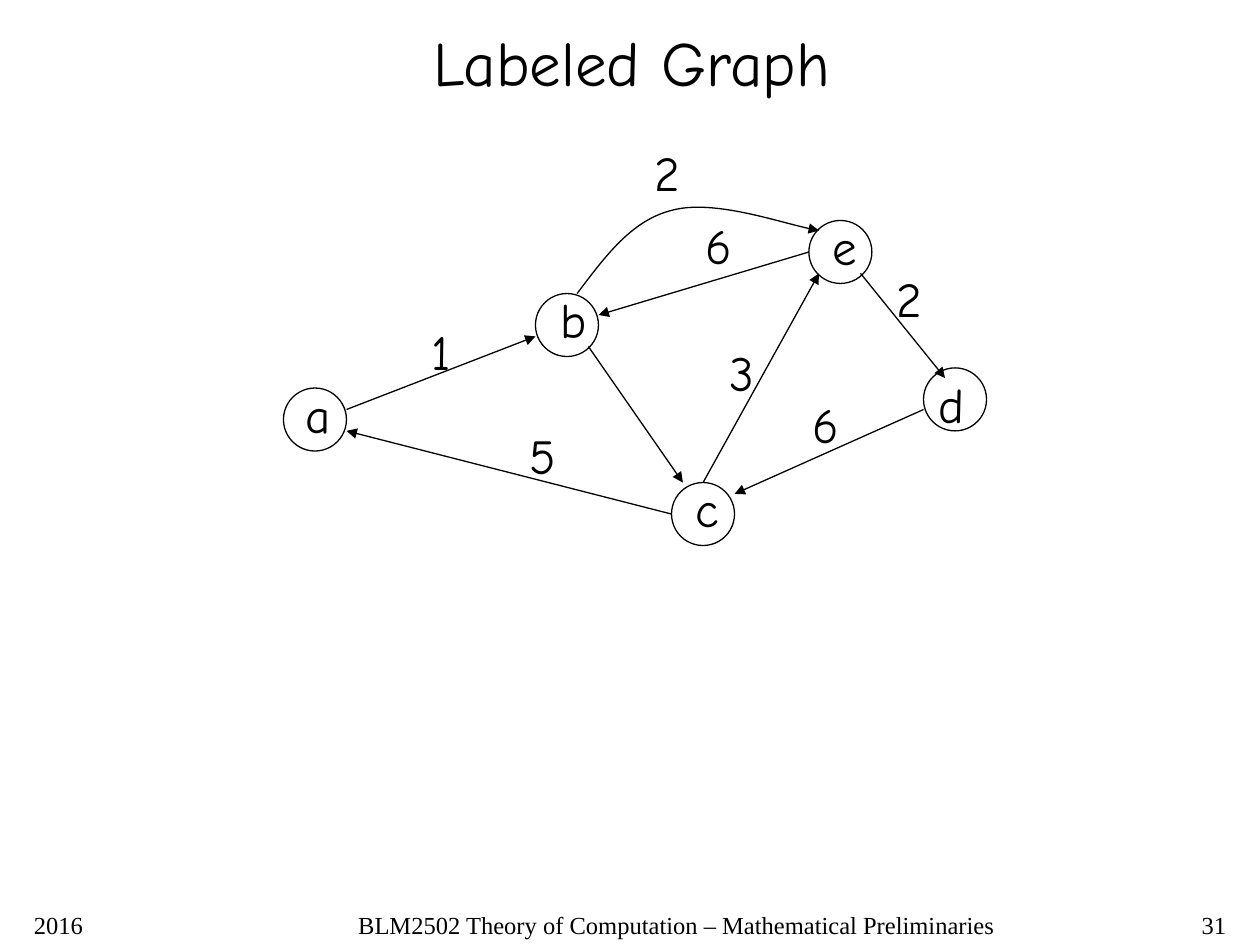
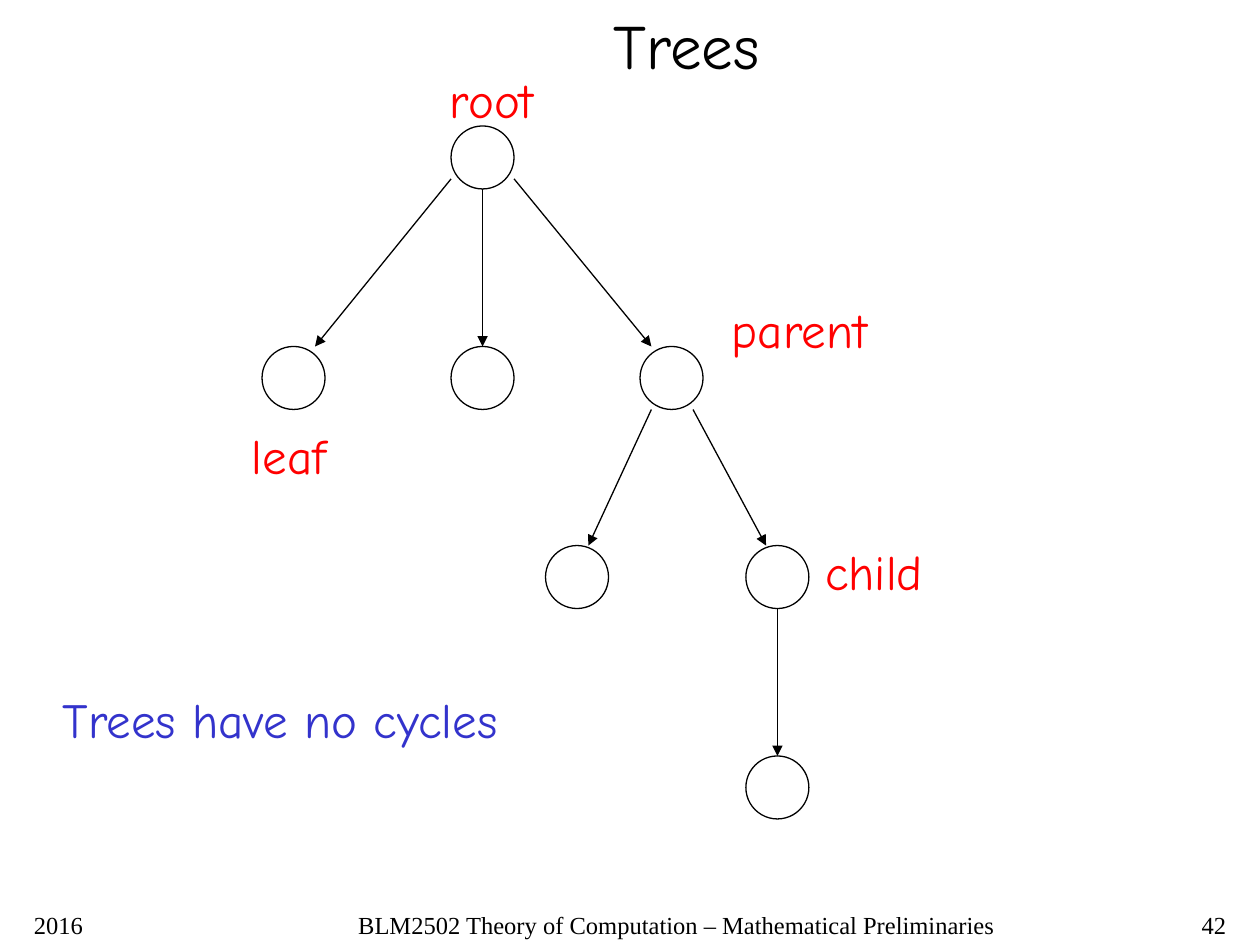
from lxml import etree
from pptx import Presentation
from pptx import util as u
from pptx.dml.color import RGBColor
from pptx.enum import shapes, text
from pptx.oxml.ns import qn

BLACK, RED, BLUE = "000000", "FF0000", "3333CC"
HAND, SERIF = "Comic Neue", "Times New Roman"
LEFT, CENTER, RIGHT = text.PP_ALIGN.LEFT, text.PP_ALIGN.CENTER, text.PP_ALIGN.RIGHT
NODE_SIZE = 0.5
LABEL_HEIGHT = 0.57
LINE_WIDTH = 0.75

YEAR = "2016"
COURSE = "BLM2502 Theory of Computation – Mathematical Preliminaries"

GRAPH = {
    "title": ("Labeled Graph", 3.34, 0.14, 3.36),
    "number": "31",
    "nodes": [(2.25, 3.08), (4.25, 2.33), (5.33, 3.83), (7.33, 2.92), (6.42, 1.75)],
    "edges": [
        ((2.75, 3.25), (4.25, 2.67)),
        ((4.67, 2.75), (5.42, 3.83)),
        ((5.58, 3.83), (6.5, 2.17)),
        ((7.33, 3.25), (5.83, 3.92)),
        ((5.33, 4.08), (2.75, 3.42)),
        ((6.83, 2.17), (7.5, 3)),
        ((6.42, 2), (4.75, 2.5)),
    ],
    "curves": [
        [(4.58, 2.33), (4.8, 2.04), (5.01, 1.75), (5.33, 1.67),
         (5.65, 1.58), (6.26, 1.79), (6.5, 1.83)],
    ],
    "labels": [
        ("a", 2.33, 3, 0.4, BLACK),
        ("b", 4.35, 2.25, 0.41, BLACK),
        ("c", 5.42, 3.75, 0.38, BLACK),
        ("d", 7.35, 2.92, 0.4, BLACK),
        ("e", 6.51, 1.67, 0.39, BLACK),
        ("1", 3.33, 2.5, 0.35, BLACK),
        ("3", 5.69, 2.67, 0.39, BLACK),
        ("5", 4.1, 3.33, 0.41, BLACK),
        ("6", 6.35, 3.08, 0.41, BLACK),
        ("2", 7.02, 2.08, 0.4, BLACK),
        ("6", 5.5, 1.66, 0.41, BLACK),
        ("2", 5.1, 1.08, 0.4, BLACK),
    ],
}

TREE = {
    "title": ("Trees", 4.77, 0, 1.37),
    "number": "42",
    "nodes": [(3.58, 1), (2.08, 2.75), (3.58, 2.75), (5.08, 2.75),
              (4.33, 4.33), (5.92, 4.33), (5.92, 6)],
    "edges": [
        ((3.58, 1.42), (2.5, 2.75)),
        ((3.83, 1.5), (3.83, 2.75)),
        ((4.08, 1.42), (5.17, 2.75)),
        ((5.17, 3.25), (4.67, 4.33)),
        ((5.5, 3.25), (6.08, 4.33)),
        ((6.17, 4.83), (6.17, 6)),
    ],
    "curves": [],
    "labels": [
        ("root", 3.47, 0.5, 0.87, RED),
        ("leaf", 1.9, 3.33, 0.79, RED),
        ("parent", 5.71, 2.33, 1.28, RED),
        ("child", 6.45, 4.25, 0.99, RED),
        ("Trees have no cycles", 0.4, 5.42, 3.67, BLUE),
    ],
}


def rgb(color):
    return RGBColor.from_string(color)


def add_text(s, words, x, y, w, h, size, font=HAND, color=BLACK, align=LEFT, wrap=False):
    tf = s.shapes.add_textbox(*map(u.Inches, (x, y, w, h))).text_frame
    tf.word_wrap = wrap
    if not wrap:
        tf.auto_size = text.MSO_AUTO_SIZE.SHAPE_TO_FIT_TEXT
    p = tf.paragraphs[0]
    p.text = words
    p.alignment = align
    p.font.size = u.Pt(size)
    p.font.name = font
    p.font.color.rgb = rgb(color)


def set_line(sp):
    sp.line.color.rgb = rgb(BLACK)
    sp.line.width = u.Pt(LINE_WIDTH)


def add_arrowhead(sp):
    etree.SubElement(sp.line._get_or_add_ln(), qn("a:tailEnd"), type="triangle")


def add_node(s, x, y):
    sp = s.shapes.add_shape(shapes.MSO_SHAPE.OVAL, u.Inches(x), u.Inches(y),
                            u.Inches(NODE_SIZE), u.Inches(NODE_SIZE))
    sp.shadow.inherit = False
    sp.fill.background()
    set_line(sp)


def add_edge(s, start, end):
    sp = s.shapes.add_connector(shapes.MSO_CONNECTOR.STRAIGHT, *map(u.Inches, start + end))
    set_line(sp)
    add_arrowhead(sp)
    etree.SubElement(sp._element.spPr, qn("a:effectLst"))


def add_curve(s, points):
    start, *rest = [(u.Inches(x), u.Inches(y)) for x, y in points]
    builder = s.shapes.build_freeform(*start)
    builder.add_line_segments(rest, close=False)
    sp = builder.convert_to_shape()
    sp.shadow.inherit = False
    sp.fill.background()
    set_line(sp)
    add_arrowhead(sp)
    outline = next(sp._element.iter(qn("a:path")))
    segments = outline.findall(qn("a:lnTo"))
    for i in range(0, len(segments), 3):
        bezier = etree.SubElement(outline, qn("a:cubicBezTo"))
        for segment in segments[i:i + 3]:
            bezier.append(segment[0])
            outline.remove(segment)


def add_footer(s, number):
    for words, x, w, align in ((YEAR, 0.17, 1.75, LEFT), (COURSE, 2.33, 6.08, CENTER),
                               (number, 7.75, 2.08, RIGHT)):
        add_text(s, words, x, 7.17, w, 0.33, 14, SERIF, align=align, wrap=True)


def add_diagram(prs, diagram):
    s = prs.slides.add_slide(prs.slide_layouts[6])
    add_text(s, *diagram["title"], 0.7, 36)
    for node in diagram["nodes"]:
        add_node(s, *node)
    for edge in diagram["edges"]:
        add_edge(s, *edge)
    for curve in diagram["curves"]:
        add_curve(s, curve)
    for words, x, y, w, color in diagram["labels"]:
        add_text(s, words, x, y, w, LABEL_HEIGHT, 28, color=color)
    add_footer(s, diagram["number"])


def main():
    prs = Presentation()
    prs.slide_width, prs.slide_height = u.Inches(10), u.Inches(7.5)
    for diagram in (GRAPH, TREE):
        add_diagram(prs, diagram)
    prs.save("out.pptx")


if __name__ == "__main__":
    main()
